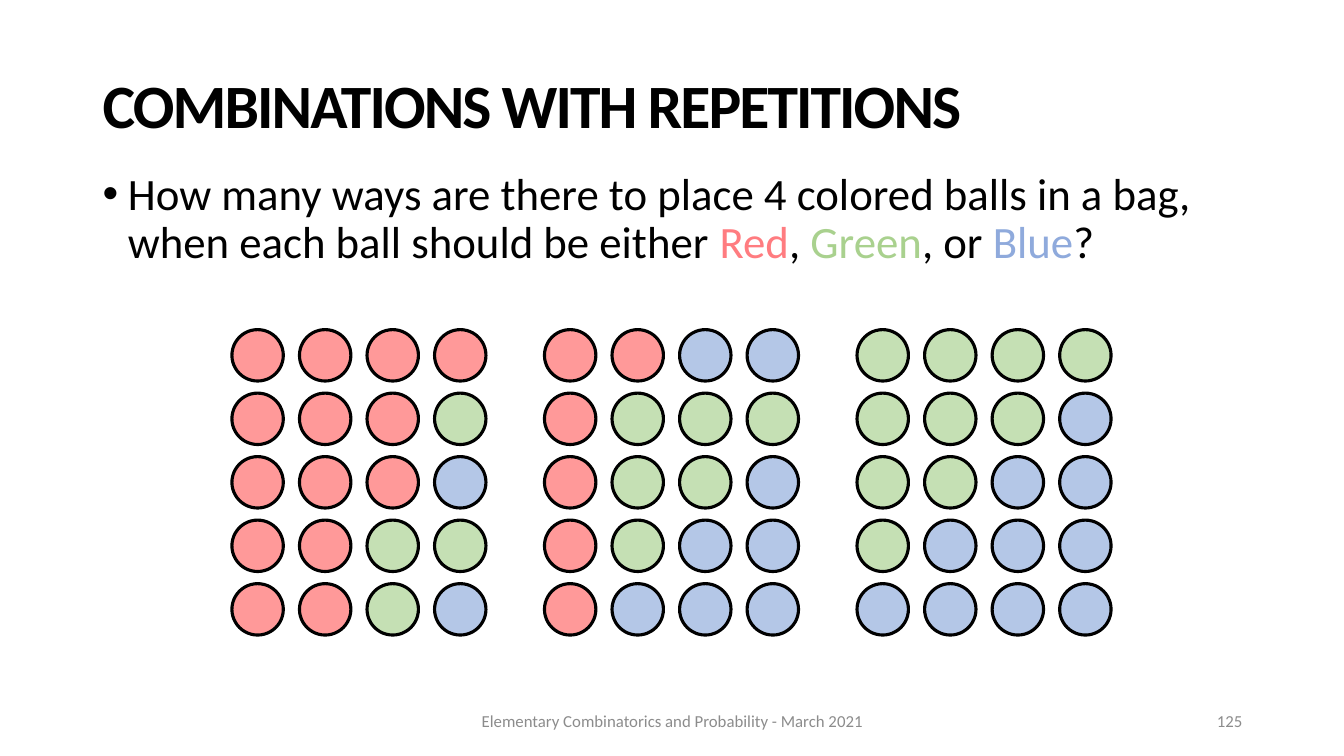
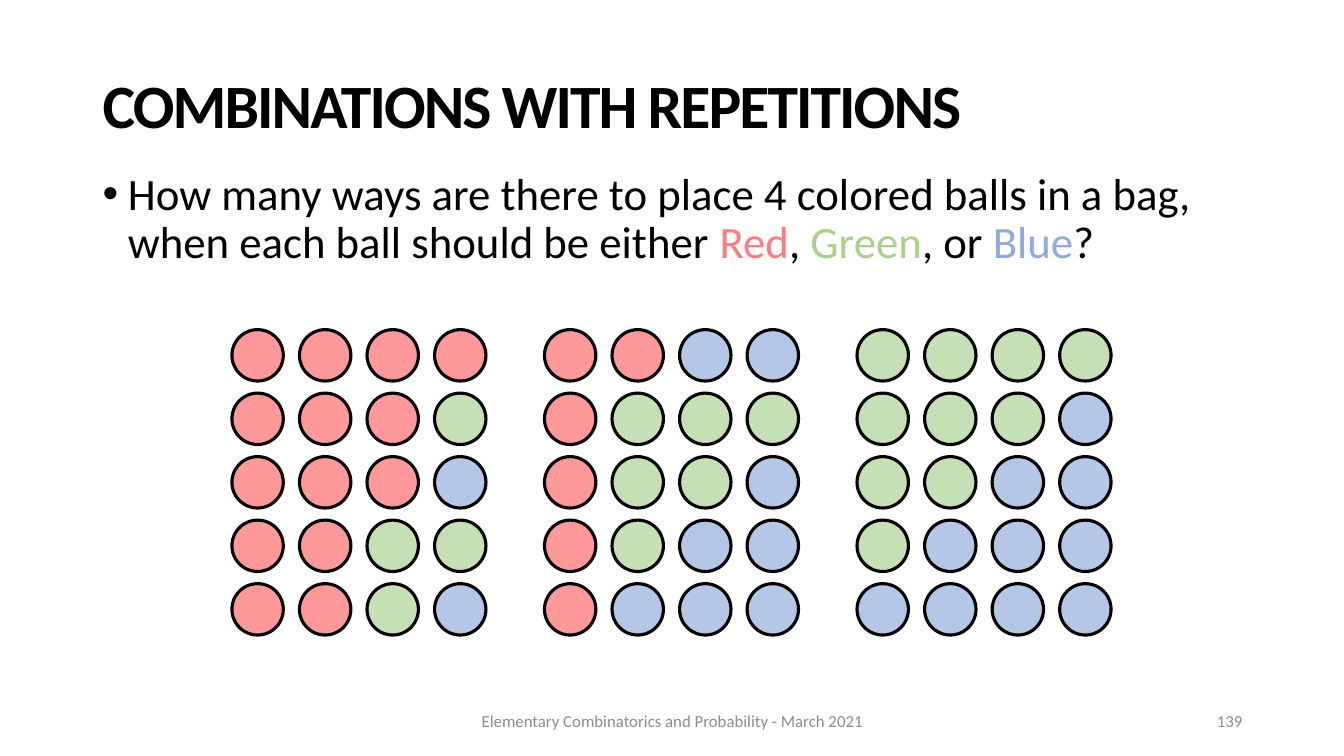
from itertools import combinations_with_replacement

from lxml.etree import SubElement
from pptx import Presentation
from pptx.dml.color import RGBColor
from pptx.enum.shapes import MSO_SHAPE
from pptx.enum.text import MSO_ANCHOR, PP_ALIGN
from pptx.oxml.ns import qn
from pptx.util import Inches, Pt

FONT = "Calibri"
COLORS = {
    "black": "000000",
    "gray": "8C8C8C",
    "red text": "FF7C80",
    "green text": "A9D18E",
    "blue text": "8FAADC",
    "red ball": "FF9999",
    "green ball": "C5E0B4",
    "blue ball": "B4C7E7",
}
TITLE = "COMBINATIONS WITH REPETITIONS"
QUESTION = [
    ("How many ways are there to place 4 colored balls in a bag, when each ball should be either ", "black"),
    ("Red", "red text"),
    (", ", "black"),
    ("Green", "green text"),
    (", or ", "black"),
    ("Blue", "blue text"),
    ("?", "black"),
]
FOOTER = "Elementary Combinatorics and Probability - March 2021"
SLIDE_NUMBERS = [125, 139]

BALLS_IN_BAG = 4
BAGS_PER_GROUP = 5
BALL_SIZE = 0.51
GRID_LEFT, GRID_TOP = 2.3, 3.27
GROUP_STEP, BALL_STEP, ROW_STEP = 3.1, 0.67, 0.63


def add_text(slide, text, left, top, width, height, size, color="black", bold=False,
             align=PP_ALIGN.LEFT, anchor=MSO_ANCHOR.MIDDLE, line_spacing=1.0,
             character_spacing=None, bullet=False):
    box = slide.shapes.add_textbox(Inches(left), Inches(top), Inches(width), Inches(height))
    frame = box.text_frame
    frame.word_wrap = True
    frame.vertical_anchor = anchor
    paragraph = frame.paragraphs[0]
    paragraph.alignment = align
    paragraph.line_spacing = line_spacing
    if bullet:
        properties = paragraph._p.get_or_add_pPr()
        properties.set("marL", str(Inches(0.25)))
        properties.set("indent", str(Inches(-0.25)))
        SubElement(properties, qn("a:buFont"), typeface="Arial")
        SubElement(properties, qn("a:buChar"), char="•")
    for words, run_color in [(text, color)] if isinstance(text, str) else text:
        run = paragraph.add_run()
        run.text = words
        run.font.name = FONT
        run.font.size = Pt(size)
        run.font.bold = bold
        run.font.color.rgb = RGBColor.from_string(COLORS[run_color])
        if character_spacing is not None:
            run._r.get_or_add_rPr().set("spc", str(round(character_spacing * 100)))


presentation = Presentation()
presentation.slide_width = Inches(13.33)
presentation.slide_height = Inches(7.5)
bags = list(combinations_with_replacement(["red ball", "green ball", "blue ball"], BALLS_IN_BAG))

for number in SLIDE_NUMBERS:
    slide = presentation.slides.add_slide(presentation.slide_layouts[6])
    add_text(slide, TITLE, 0.92, 0.35, 11.5, 1.45, size=44, bold=True,
             line_spacing=0.9, character_spacing=-1.4)
    add_text(slide, QUESTION, 0.92, 1.65, 11.5, 5.11, size=32, anchor=MSO_ANCHOR.TOP,
             line_spacing=0.9, bullet=True)
    add_text(slide, FOOTER, 4.42, 6.95, 4.5, 0.4, size=12, color="gray", align=PP_ALIGN.CENTER)
    add_text(slide, str(number), 9.42, 6.95, 3, 0.4, size=12, color="gray", align=PP_ALIGN.RIGHT)

    for bag_index, bag in enumerate(bags):
        group, row = divmod(bag_index, BAGS_PER_GROUP)
        for column, ball_color in enumerate(bag):
            ball = slide.shapes.add_shape(
                MSO_SHAPE.OVAL,
                Inches(GRID_LEFT + group * GROUP_STEP + column * BALL_STEP),
                Inches(GRID_TOP + row * ROW_STEP),
                Inches(BALL_SIZE),
                Inches(BALL_SIZE),
            )
            ball.shadow.inherit = False
            ball.fill.solid()
            ball.fill.fore_color.rgb = RGBColor.from_string(COLORS[ball_color])
            ball.line.color.rgb = RGBColor.from_string(COLORS["black"])
            ball.line.width = Pt(2.25)

presentation.save("out.pptx")
